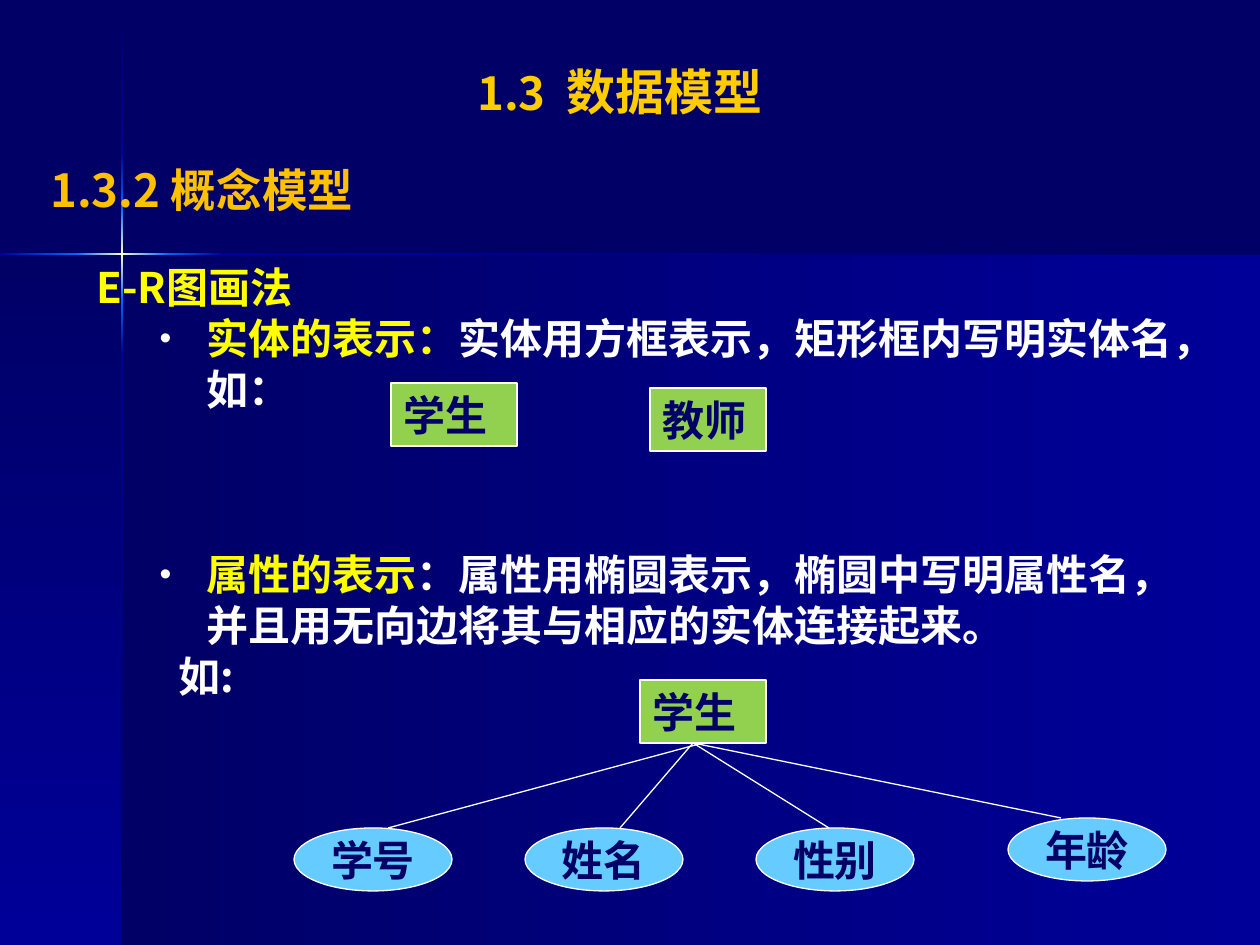
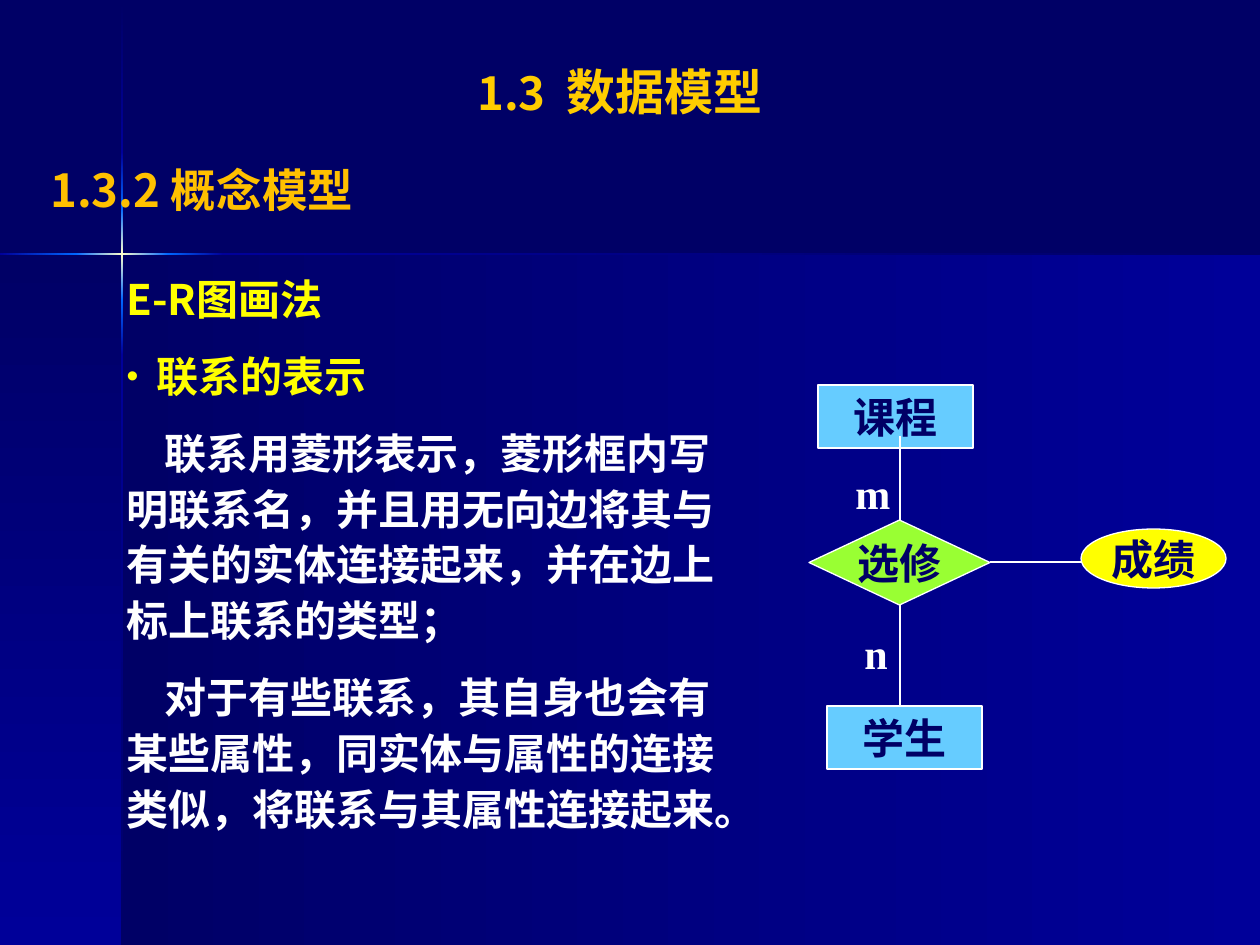
from pptx import Presentation
from pptx import util as u
from pptx.dml.color import RGBColor
from pptx.enum import shapes, text
from pptx.oxml import parse_xml
from pptx.oxml.ns import nsdecls, qn

NAVY = RGBColor(0x00, 0x00, 0x66)
ROYAL = RGBColor(0x00, 0x00, 0x99)
AZURE = RGBColor(0x00, 0x66, 0xFF)
CREAM = RGBColor(0xFF, 0xFF, 0xCC)
GOLD = RGBColor(0xFF, 0xCC, 0x00)
AMBER = RGBColor(0xFF, 0xC0, 0x00)
YELLOW = RGBColor(0xFF, 0xFF, 0x00)
WHITE = RGBColor(0xFF, 0xFF, 0xFF)
GREEN = RGBColor(0x92, 0xD0, 0x50)
LIME = RGBColor(0x99, 0xFF, 0x33)
SKY = RGBColor(0x66, 0xCC, 0xFF)

SANS = "Noto Sans CJK SC"
SERIF = "Times New Roman"
LEFT, CENTER = text.PP_ALIGN.LEFT, text.PP_ALIGN.CENTER
RECT = shapes.MSO_SHAPE.RECTANGLE
OVAL = shapes.MSO_SHAPE.OVAL
DIAMOND = shapes.MSO_SHAPE.DIAMOND
LINE_HEIGHT = 1.21
ACROSS, DOWN = 0, 90


def px(length):
    return u.Emu(round(length * 914400 / 126))


def place(shape, box):
    shape.left, shape.top, shape.width, shape.height = map(px, box)


def shifted(origin, box):
    return origin[0] + box[0], origin[1] + box[1], *box[2:]


# ---- text ----

def prepare_frame(frame, wrap=True, anchor=text.MSO_ANCHOR.TOP):
    frame.word_wrap = wrap
    frame.auto_size = text.MSO_AUTO_SIZE.NONE
    frame.vertical_anchor = anchor
    frame.margin_left = frame.margin_right = u.Inches(0.1)
    frame.margin_top = frame.margin_bottom = u.Inches(0.05)


def add_run(paragraph, words, color, size=24, font=SANS):
    run = paragraph.add_run()
    run.text = words
    run.font.name, run.font.size, run.font.bold = font, u.Pt(size), True
    run.font.color.rgb = color
    return run


def format_line(paragraph, size=24, align=LEFT, spread=1):
    paragraph.alignment = align
    paragraph.line_spacing = u.Pt(round(size * LINE_HEIGHT * spread, 1))
    paragraph.space_before = u.Pt(0)


def set_bullet(paragraph, margin=0, indent=0, color=None):
    """Set the indents, and a dot bullet if a colour is given for it."""
    props = paragraph._p.get_or_add_pPr()
    props.set("marL", str(px(margin)))
    props.set("indent", str(px(indent)))
    marks = ["<a:buNone {0}/>"]
    if color is not None:
        marks = [f'<a:buClr {{0}}><a:srgbClr val="{color}"/></a:buClr>',
                 '<a:buSzPct {0} val="80000"/>',
                 '<a:buFont {0} typeface="Arial"/>',
                 '<a:buChar {0} char="•"/>']
    for mark in marks:
        props.append(parse_xml(mark.format(nsdecls("a"))))


def fill_body(slide, box, items, spread=1):
    """Each item is (indents and bullet, space before, runs)."""
    body = slide.placeholders[1]
    place(body, box)
    frame = body.text_frame
    prepare_frame(frame)
    for number, (layout, before, runs) in enumerate(items):
        paragraph = frame.add_paragraph() if number else frame.paragraphs[0]
        set_bullet(paragraph, **layout)
        format_line(paragraph, spread=spread)
        paragraph.space_before = u.Pt(before)
        for words, color in runs:
            add_run(paragraph, words, color)


# ---- shared parts ----

def add_band(slide, box, direction, *colors):
    band = slide.shapes.add_shape(RECT, *map(px, box))
    step = 100000 // (len(colors) - 1)
    stops = "".join(f'<a:gs pos="{i * step}"><a:srgbClr val="{color}"/></a:gs>'
                    for i, color in enumerate(colors))
    band._element.spPr.insert(2, parse_xml(
        f'<a:gradFill {nsdecls("a")} rotWithShape="1"><a:gsLst>{stops}</a:gsLst>'
        f'<a:lin ang="{direction * 60000}" scaled="0"/></a:gradFill>'))
    band.line.fill.background()
    band.shadow.inherit = False
    return band


def move_to_layout(bands, layout):
    for number, band in enumerate(bands):
        element = band._element
        element.nvSpPr.cNvPr.set("id", str(100 + number))
        layout.shapes.element.insert(2 + number, element)


def decorate_layout(slide):
    """Draw the panels and the glowing cross, shared through the layout."""
    bands = [add_band(slide, (122, 255, 1138, 690), ACROSS, NAVY, ROYAL),
             add_band(slide, (0, 255, 122, 690), DOWN, NAVY, ROYAL)]
    glow = (AZURE, CREAM, AZURE)
    for start, end, colors in ((1, 152, (NAVY, ROYAL)),
                               (355, 945, (ROYAL, NAVY)),
                               (300, 355, (AZURE, ROYAL)),
                               (152, 208, (ROYAL, AZURE)),
                               (208, 300, glow)):
        bands.append(add_band(slide, (121, start, 2, end - start), DOWN, *colors))
    for start, end, colors in ((223, 1260, (ROYAL, NAVY)),
                               (0, 76, (ROYAL, AZURE)),
                               (168, 223, (AZURE, ROYAL)),
                               (76, 168, glow)):
        bands.append(add_band(slide, (start, 253, end - start, 2), ACROSS, *colors))
    move_to_layout(bands, slide.slide_layout)


def add_headings(slide):
    chapter = slide.shapes.title
    place(chapter, (84, 55, 1072, 72))
    prepare_frame(chapter.text_frame)
    line = chapter.text_frame.paragraphs[0]
    format_line(line, 28, CENTER)
    add_run(line, "1.3", GOLD, 26)
    gap = add_run(line, " ", GOLD, 26)
    gap.font._element.set("spc", "600")
    add_run(line, "数据模型", GOLD, 28)

    section = slide.shapes.add_textbox(*map(px, (38, 155, 1131, 68)))
    prepare_frame(section.text_frame)
    line = section.text_frame.paragraphs[0]
    format_line(line, 26)
    add_run(line, "1.3.2 概念模型", AMBER, 26)


# ---- diagram parts ----

def add_node(slide, kind, box, name, color, align=CENTER):
    node = slide.shapes.add_shape(kind, *map(px, box))
    node.fill.solid()
    node.fill.fore_color.rgb = color
    node.line.color.rgb = WHITE
    node.line.width = u.Pt(0.75)
    node.shadow.inherit = False
    boxed = kind == RECT
    prepare_frame(node.text_frame, boxed,
                  text.MSO_ANCHOR.TOP if boxed else text.MSO_ANCHOR.MIDDLE)
    line = node.text_frame.paragraphs[0]
    format_line(line, align=align)
    add_run(line, name, NAVY, font=SERIF)


def add_edge(slide, origin, start, end):
    ends = shifted(origin, start) + shifted(origin, end)
    edge = slide.shapes.add_connector(shapes.MSO_CONNECTOR.STRAIGHT, *map(px, ends))
    edge.line.color.rgb = WHITE
    edge.line.width = u.Pt(0.75)
    properties = edge._element.spPr
    properties.append(properties.makeelement(qn("a:effectLst")))


def add_cardinality(slide, box, letter):
    label = slide.shapes.add_textbox(*map(px, box))
    prepare_frame(label.text_frame)
    line = label.text_frame.paragraphs[0]
    format_line(line, align=CENTER)
    add_run(line, letter, WHITE, font=SERIF)


def draw_attribute_tree(slide, origin):
    add_node(slide, RECT, shifted(origin, (346, 0, 126, 63)), "学生", GREEN, LEFT)
    attributes = (("学号", 0, 148, 409, 94), ("姓名", 231, 148, 399, 326),
                  ("性别", 462, 148, 399, 535), ("年龄", 714, 138, 399, 767))
    for name, left, top, _, _ in attributes:
        add_node(slide, OVAL, shifted(origin, (left, top, 158, 63)), name, SKY)
    for _, _, top, start, end in attributes:
        add_edge(slide, origin, (start, 63), (end, top))


def draw_relationship(slide, origin):
    for kind, box, name, color in (
            (RECT, (10, 0, 155, 63), "课程", SKY),
            (DIAMOND, (1, 135, 181, 85), "选修", LIME),
            (RECT, (19, 321, 155, 63), "学生", SKY),
            (OVAL, (273, 144, 145, 59), "成绩", YELLOW)):
        add_node(slide, kind, shifted(origin, box), name, color)
    for start, end in (((92, 135), (92, 51)), ((92, 220), (92, 321)),
                       ((182, 177), (273, 177))):
        add_edge(slide, origin, start, end)
    for left, top, letter in ((35, 76, "m"), (44, 236, "n")):
        add_cardinality(slide, shifted(origin, (left, top, 45, 63)), letter)


# ---- slides ----

def build_entities_and_attributes(slide):
    add_headings(slide)
    bulleted = dict(margin=150, indent=-47, color=WHITE)
    fill_body(slide, (44, 255, 1181, 450), (
        (dict(margin=40), 0, [("E-R图画法", YELLOW)]),
        (bulleted, 0, [("实体的表示：", YELLOW),
                       ("实体用方框表示，矩形框内写明实体名，如：", WHITE)]),
        (bulleted, 77, [("属性的表示", YELLOW),
                        ("：属性用椭圆表示，椭圆中写明属性名，"
                         "并且用无向边将其与相应的实体连接起来。", WHITE)]),
        (dict(margin=122), 0, [("如:", WHITE)])))
    add_node(slide, RECT, (391, 383, 126, 63), "学生", GREEN, LEFT)
    add_node(slide, RECT, (650, 388, 116, 63), "教师", GREEN, LEFT)
    draw_attribute_tree(slide, (294, 680))


def build_relationships(slide):
    add_headings(slide)
    fill_body(slide, (114, 262, 645, 630), (
        (dict(), 0, [("E-R图画法", YELLOW)]),
        (dict(margin=30, indent=-30, color=YELLOW), 12, [("联系的表示", YELLOW)]),
        (dict(indent=38), 12,
         [("联系用菱形表示，菱形框内写明联系名，并且用无向边将其与"
           "有关的实体连接起来，并在边上标上联系的类型；", WHITE)]),
        (dict(indent=38), 12,
         [("对于有些联系，其自身也会有某些属性，同实体与属性的连接"
           "类似，将联系与其属性连接起来。", WHITE)])), spread=1.1)
    draw_relationship(slide, (808, 385))


def main():
    deck = Presentation()
    deck.slide_width, deck.slide_height = px(1260), px(945)
    backdrop = deck.slide_master.background.fill
    backdrop.solid()
    backdrop.fore_color.rgb = NAVY
    layout = deck.slide_layouts[1]
    first, second = (deck.slides.add_slide(layout) for _ in range(2))
    decorate_layout(first)
    build_entities_and_attributes(first)
    build_relationships(second)
    deck.save("out.pptx")


if __name__ == "__main__":
    main()
